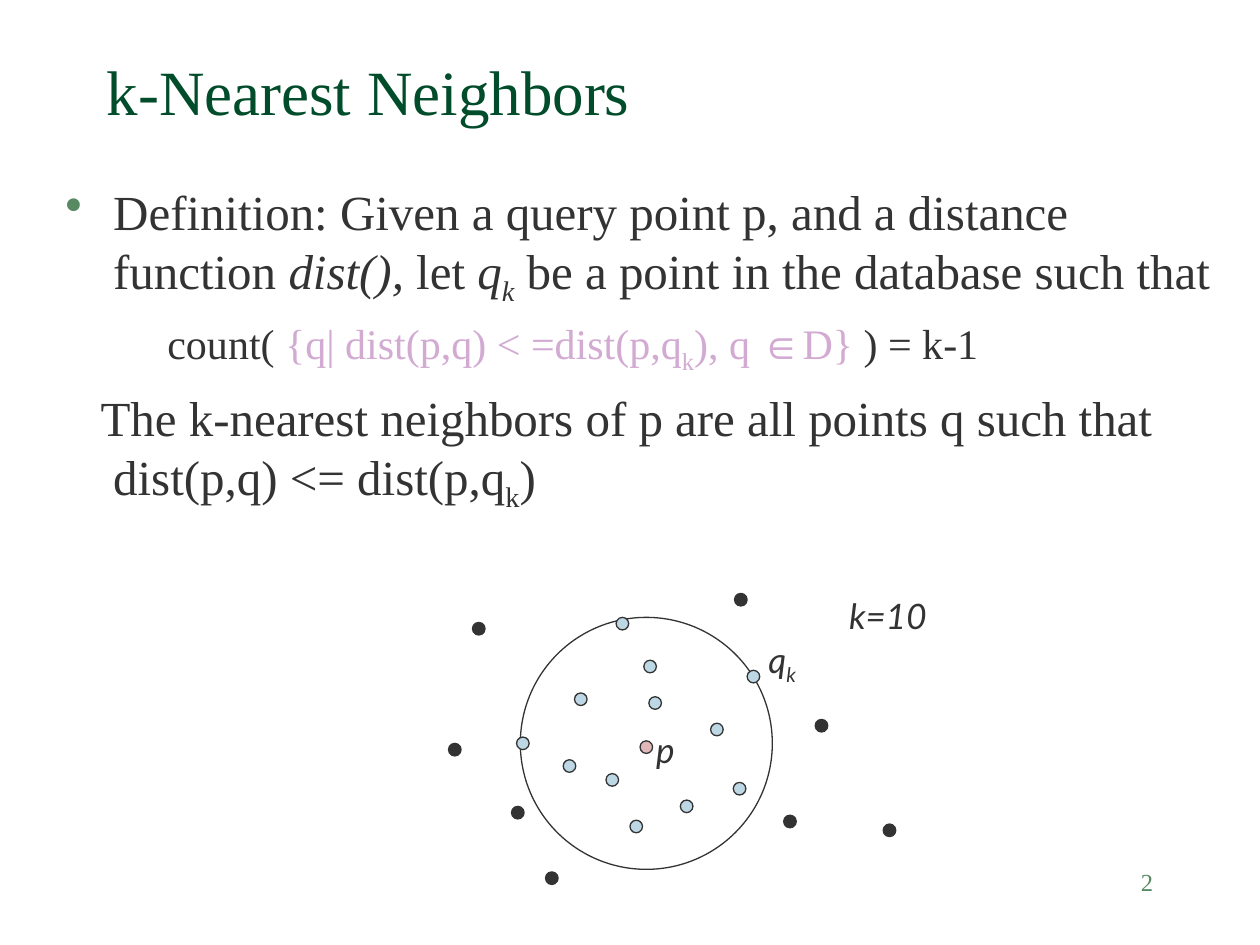
from lxml.etree import SubElement
from pptx import Presentation
from pptx.dml.color import RGBColor
from pptx.enum.shapes import MSO_SHAPE as Preset
from pptx.enum.text import MSO_ANCHOR as Anchor, MSO_AUTO_SIZE as AutoSize, PP_ALIGN as Align
from pptx.oxml.ns import qn
from pptx.util import Inches, Pt

COLORS = {
    "title": "004C2B",
    "accent": "578963",
    "text": "333333",
    "set": "D2AAD2",
    "query": "E1B7B7",
    "near": "BDD7E5",
}
SERIF, SANS = "Times New Roman", "Lato"
COLUMNS = 100

SUB = {"sub": True}
ITALIC = {"italic": True}
SET = {"color": "set"}

TITLE = [("k-Nearest Neighbors", {}), (" ", {"size": 44})]
DEFINITION = [
    ("Definition: Given a query point p, and a distance function ", {}),
    ("dist(),", ITALIC),
    (" let ", {}),
    ("q", ITALIC),
    ("k", ITALIC | SUB),
    (" be a point in the database such that", {}),
]
COUNT = [
    ("count( ", {}),
    ("{q| dist(p,q) < =dist(p,q", SET),
    ("k", SET | SUB),
    ("), q ", SET),
    ("∈", SET | {"font": "Arial"}),
    ("D}", SET),
    (" ) = k-1", {}),
]
NEIGHBORS = [
    ("The k-nearest neighbors of p are all points q such that dist(p,q) <= dist(p,q", {}),
    ("k", SUB),
    (")", {}),
]
BODY = [
    (DEFINITION, {"size": 28, "margin": 0.38, "indent": -0.38, "bullet": "•"}),
    (COUNT, {"size": 24, "margin": 0.81, "before": 6}),
    (NEIGHBORS, {"size": 28, "margin": 0.38, "indent": -0.1, "before": 7}),
]

CIRCLE = (41.3, 49, 20)
DOT_SIZE = 1
DOTS = {
    "query": [(50.8, 58.8)],
    "near": [
        (59.3, 53.2), (48.9, 49), (41, 58.5), (45.6, 55), (51.5, 55.3), (48.1, 61.4),
        (56.4, 57.4), (54, 63.5), (44.7, 60.3), (50, 65.1), (51.1, 52.4), (58.2, 62.1),
    ],
    "text": [
        (35.6, 59), (37.5, 49.4), (58.3, 47.1), (40.6, 64),
        (43.3, 69.2), (70.1, 65.4), (64.7, 57.1), (62.2, 64.7),
    ],
}
LABELS = [
    ([("p", {})], (51.1, 57.3, 3.6, 4.4), False),
    ([("q", {}), ("k", SUB)], (60, 50.2, 4.4, 4.8), False),
    ([("k=10", {})], (66.4, 46.7, 9.2, 4.4), True),
]

presentation = Presentation()
presentation.slide_width, presentation.slide_height = Inches(10), Inches(7.5)
slide = presentation.slides.add_slide(presentation.slide_layouts[6])
CELL = presentation.slide_width / COLUMNS


def rgb(name):
    return RGBColor.from_string(COLORS[name])


def place(*cells):
    return [round(cell * CELL) for cell in cells]


def write(paragraph, runs, size=20, color="text", font=SERIF, italic=False,
          align=Align.LEFT, margin=0, indent=0, before=0, bullet=None):
    paragraph.alignment = align
    paragraph.space_before = Pt(before)
    properties = paragraph._p.get_or_add_pPr()
    properties.set("marL", str(Inches(margin)))
    properties.set("indent", str(Inches(indent)))
    if bullet:
        bullet_color = SubElement(properties, qn("a:buClr"))
        SubElement(bullet_color, qn("a:srgbClr"), val=COLORS["accent"])
        SubElement(properties, qn("a:buChar"), char=bullet)
    for text, style in runs:
        run = paragraph.add_run()
        run.text = text
        run.font.size = Pt(style.get("size", size))
        run.font.name = style.get("font", font)
        run.font.italic = style.get("italic", italic)
        run.font.color.rgb = rgb(style.get("color", color))
        if style.get("sub"):
            run._r.get_or_add_rPr().set("baseline", "-25000")


def add_text(cells, paragraphs, anchor=Anchor.TOP, wrap=True, fit=AutoSize.NONE):
    frame = slide.shapes.add_textbox(*place(*cells)).text_frame
    frame.word_wrap, frame.auto_size, frame.vertical_anchor = wrap, fit, anchor
    for index, (runs, style) in enumerate(paragraphs):
        paragraph = frame.add_paragraph() if index else frame.paragraphs[0]
        write(paragraph, runs, **style)


def add_circle(left, top, size, fill=None):
    shape = slide.shapes.add_shape(Preset.OVAL, *place(left, top, size, size))
    shape.shadow.inherit = False
    shape.line.color.rgb = rgb("text")
    shape.line.width = Pt(0.75)
    if fill:
        shape.fill.solid()
        shape.fill.fore_color.rgb = rgb(fill)
    else:
        shape.fill.background()


add_text((71.7, 68.3, 20.8, 5),
         [([("2", {})], {"size": 14, "color": "accent", "align": Align.RIGHT})])
add_text((7.5, 4.2, 85, 6.7), [(TITLE, {"size": 36, "color": "title"})], anchor=Anchor.BOTTOM)
add_text((4.2, 13.9, 93.8, 56.9), BODY)

add_circle(*CIRCLE)
for kind, positions in DOTS.items():
    for left, top in positions:
        add_circle(left, top, DOT_SIZE, kind)
for runs, cells, wrap in LABELS:
    add_text(cells, [(runs, {"font": SANS, "italic": True})],
             wrap=wrap, fit=AutoSize.SHAPE_TO_FIT_TEXT)

presentation.save("out.pptx")
